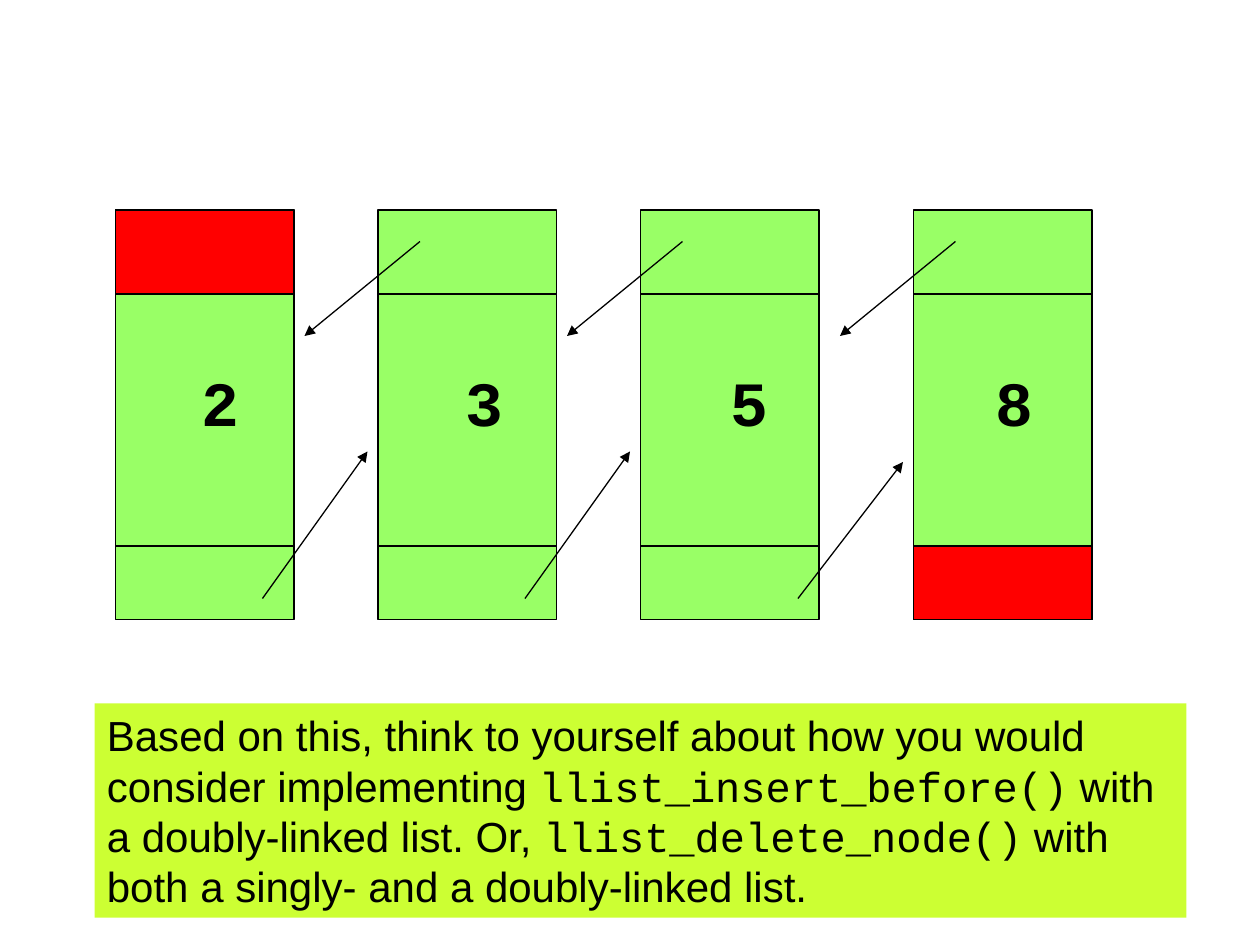
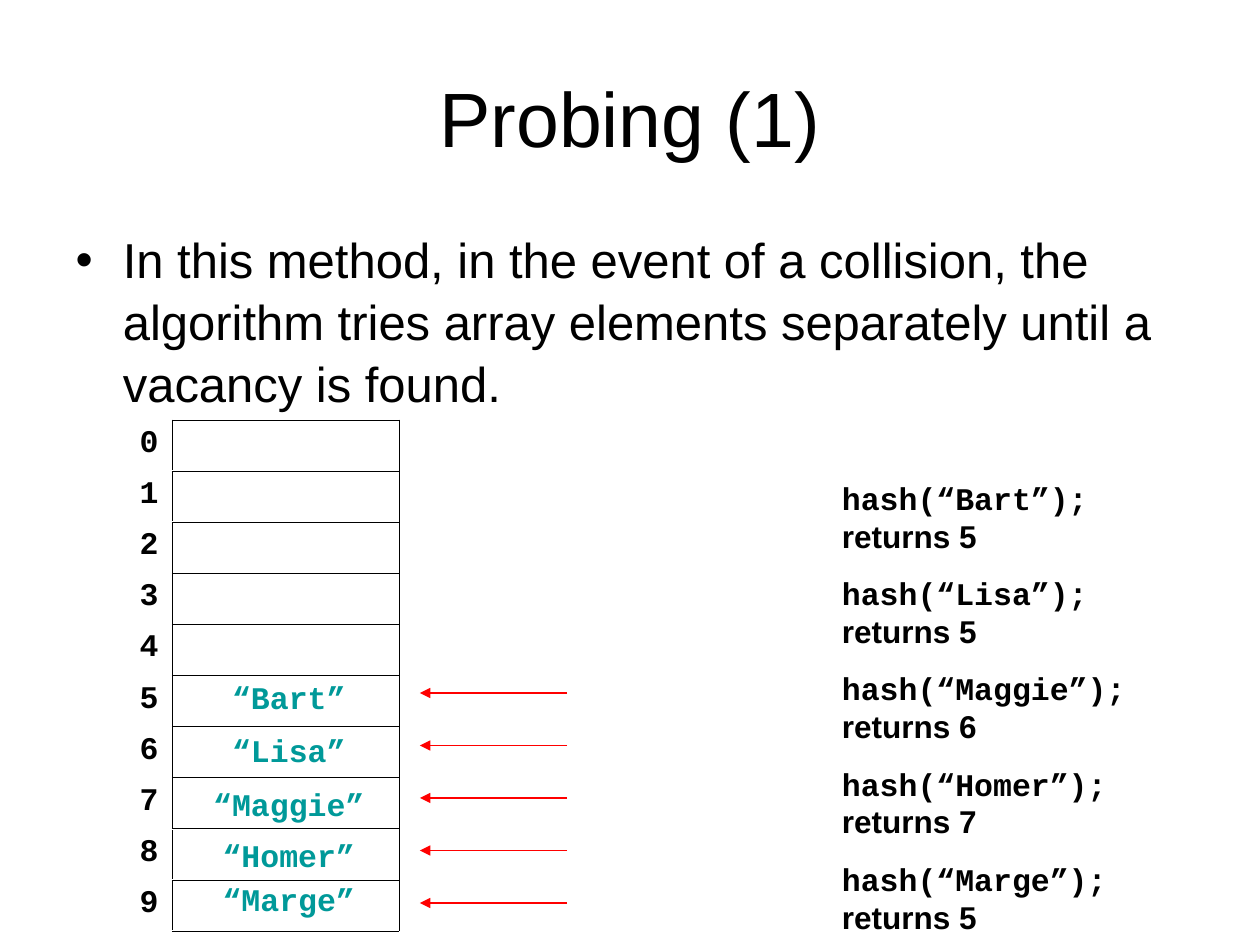
from lxml import etree
from pptx import Presentation, util as u
from pptx.dml.color import RGBColor
from pptx.enum import shapes, text
from pptx.oxml.ns import qn

SCALE = 7620  # EMU in one px, 120 px to the inch
COLORS = {"ink": "000000", "node": "99FF66", "null": "FF0000",
          "note": "CCFF33", "name": "009999"}
SANS, MONO = "Arial", "Courier New"


def px(n):
    return u.Emu(n * SCALE)


def rgb(key):
    return RGBColor.from_string(COLORS[key])


def sub(parent, tag, **attrs):
    return etree.SubElement(parent, qn(tag), attrs)


class Deck:
    def __init__(self):
        self.prs = Presentation()
        self.prs.slide_width, self.prs.slide_height = px(1200), px(900)

    def add(self, layout):
        self.slide = self.prs.slides.add_slide(self.prs.slide_layouts[layout])

    def style(self, runs, size, font=SANS, color="ink", bold=False):
        for run in runs:
            run.font.size, run.font.name = u.Pt(size), font
            run.font.bold, run.font.color.rgb = bold, rgb(color)

    def holder(self, index, words, x, y, w, h, size):
        """Fill and move the placeholder with this index."""
        box = self.slide.placeholders[index]
        box.left, box.top, box.width, box.height = map(px, (x, y, w, h))
        box.text_frame.text = words
        self.style(box.text_frame.paragraphs[0].runs, size)
        return box.text_frame.paragraphs[0]

    def rect(self, x, y, w, h, fill, edge=True):
        box = self.slide.shapes.add_shape(
            shapes.MSO_SHAPE.RECTANGLE, *map(px, (x, y, w, h)))
        box.shadow.inherit = False
        box.fill.solid()
        box.fill.fore_color.rgb = rgb(fill)
        if edge:
            box.line.color.rgb, box.line.width = rgb("ink"), u.Pt(0.75)
        else:
            box.line.fill.background()
        return box

    def line(self, x1, y1, x2, y2, color="ink", arrow=False):
        link = self.slide.shapes.add_connector(
            shapes.MSO_CONNECTOR.STRAIGHT, *map(px, (x1, y1, x2, y2)))
        link.line.color.rgb, link.line.width = rgb(color), u.Pt(0.75)
        if arrow:
            sub(link.line._get_or_add_ln(), "a:tailEnd", type="triangle")
        sub(link._element.spPr, "a:effectLst")

    def label(self, words, x, y, w, h, size, font=MONO, color="ink"):
        frame = self.slide.shapes.add_textbox(*map(px, (x, y, w, h))).text_frame
        frame.word_wrap = True
        frame.text = words
        for para in frame.paragraphs:
            self.style(para.runs, size, font, color, bold=True)
        return frame

    def note(self, parts, x, y, w, h, size):
        """Panel of text made of (words, font) parts."""
        frame = self.rect(x, y, w, h, "note", edge=False).text_frame
        frame.vertical_anchor = text.MSO_ANCHOR.TOP
        para = frame.paragraphs[0]
        para.alignment = text.PP_ALIGN.LEFT
        for words, font in parts:
            run = para.add_run()
            run.text = words
            self.style([run], size, font)

    def cell(self, cell, words, sides):
        cell.text = words
        para = cell.text_frame.paragraphs[0]
        para.alignment = text.PP_ALIGN.CENTER
        self.style(para.runs, 18, MONO, bold=True)
        props = cell._tc.get_or_add_tcPr()
        for side in sides:
            edge = sub(props, "a:ln" + side, w=str(u.Pt(0.45)))
            sub(sub(edge, "a:solidFill"), "a:srgbClr", val=COLORS["ink"])
        cell.fill.background()

    def slots(self, count, x, y, widths, h):
        """Table of numbered, empty slots."""
        grid = self.slide.shapes.add_table(
            count, 2, *map(px, (x, y, sum(widths), h))).table
        grid.first_row = grid.horz_banding = False
        for col, w in zip(grid.columns, widths):
            col.width = px(w)
        for i, row in enumerate(grid.rows):
            row.height = px(h) // count
            self.cell(row.cells[0], str(i), "R")
            self.cell(row.cells[1], "", "LRTB")


def links(deck):
    lefts, top, wide, high = (110, 360, 610, 870), 200, 170, 390
    head, foot = 280, 520
    deck.add(6)
    for x in lefts:
        deck.rect(x, top, wide, high, "node")
        for y in (head, foot):
            deck.line(x, y, x + wide, y)

    para = deck.label("\t2\t3\t5\t8", 0, 340, 1150, 84, 36).paragraphs[0]
    tabs = sub(para._p.get_or_add_pPr(), "a:tabLst")
    for i in range(len(lefts)):
        sub(tabs, "a:tab", pos=str(px(180 + 252 * i)), algn="l")

    deck.rect(lefts[0], top, wide, head - top, "null")
    deck.rect(lefts[-1], foot, wide, top + high - foot, "null")
    for x, y in zip(lefts[1:], (430, 430, 440)):
        deck.line(x - 110, 570, x - 10, y, arrow=True)
        deck.line(x + 40, 230, x - 70, 320, arrow=True)

    deck.note([
        ("Based on this, think to yourself about how you would "
         "consider implementing ", SANS),
        ("llist_insert_before()", MONO),
        (" with a doubly-linked list. Or, ", SANS),
        ("llist_delete_node()", MONO),
        (" with both a singly- and a doubly-linked list.", SANS),
    ], 90, 670, 1040, 204, 24)


def probing(deck):
    deck.add(1)
    deck.holder(0, "Probing (1)", 60, 36, 1080, 150, 44)
    body = deck.holder(
        1, "In this method, in the event of a collision, the algorithm tries "
        "array elements separately until a vacancy is found.",
        60, 210, 1080, 594, 28)
    body.line_spacing = 1.05
    deck.slots(10, 120, 400, (44, 216), 483)

    people = [("Bart", 5, 640), ("Lisa", 5, 690), ("Maggie", 6, 742),
              ("Homer", 7, 790), ("Marge", 5, 832)]
    calls = "\n".join(f"hash(“{who}”);\vreturns {key}" for who, key, _ in people)
    frame = deck.label(calls, 790, 450, 380, 448, 18)
    for para in frame.paragraphs:
        para.runs[-1].font.name = SANS
        para.space_before = u.Pt(11.25)
    for i, (who, _, y) in enumerate(people):
        name = deck.label(f"“{who}”", 140, y, 270, 48, 18, color="name")
        name.paragraphs[0].alignment = text.PP_ALIGN.CENTER
        deck.line(540, 660 + 50 * i, 400, 660 + 50 * i, "null", arrow=True)


def main():
    deck = Deck()
    links(deck)
    probing(deck)
    deck.prs.save("out.pptx")


if __name__ == "__main__":
    main()
